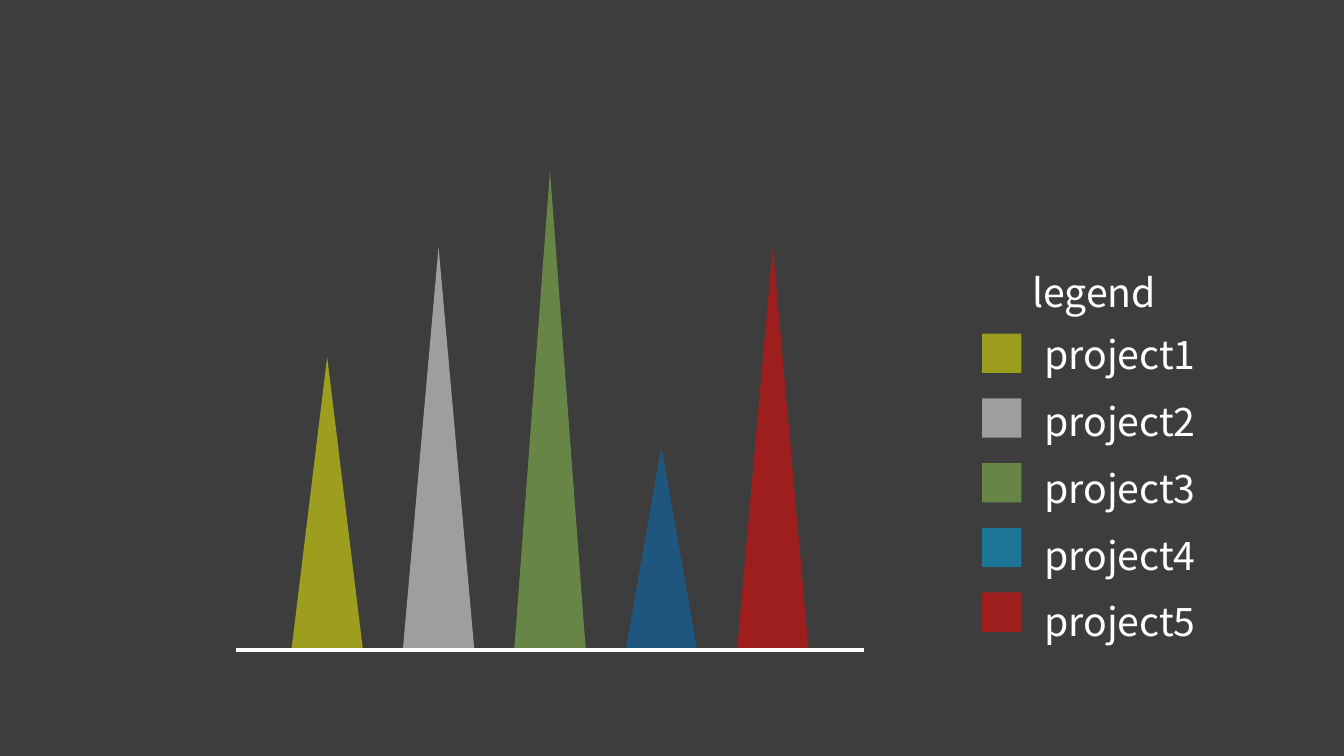
from lxml import etree
from pptx import Presentation
from pptx.dml.color import RGBColor
from pptx.enum.shapes import MSO_CONNECTOR, MSO_SHAPE
from pptx.enum.text import MSO_AUTO_SIZE
from pptx.oxml.ns import qn
from pptx.util import Inches, Pt

RECTANGLE = MSO_SHAPE.RECTANGLE
TRIANGLE = MSO_SHAPE.ISOSCELES_TRIANGLE
STRAIGHT = MSO_CONNECTOR.STRAIGHT
FIT_SHAPE = MSO_AUTO_SIZE.SHAPE_TO_FIT_TEXT

WHITE = "FFFFFF"
LABEL_FORMAT = {"name": "Noto Sans CJK SC", "size": Pt(28)}
PROJECTS = [
    ("project1", 2.91, "FFFF00", "FFFF00"),
    ("project2", 4.0, "FFFFFF", "FFFFFF"),
    ("project3", 4.76, "92D050", "92D050"),
    ("project4", 2.02, "0070C0", "00B0F0"),
    ("project5", 4.0, "FF0000", "FF0000"),
]


def color(value):
    return RGBColor.from_string(value)


def add_filled(shapes, kind, box, fill, opacity):
    shape = shapes.add_shape(kind, *map(Inches, box))
    shape.shadow.inherit = False
    shape.line.fill.background()
    shape.fill.solid()
    shape.fill.fore_color.rgb = color(fill)
    tint = shape.fill._xPr.find(qn("a:solidFill"))[0]
    etree.SubElement(tint, qn("a:alpha")).set("val", str(opacity * 1000))


def add_label(shapes, box, text):
    label = shapes.add_textbox(*map(Inches, box))
    frame = label.text_frame
    frame.word_wrap = True
    frame.auto_size = FIT_SHAPE
    span = frame.paragraphs[0].add_run()
    span.text = text
    for key, value in LABEL_FORMAT.items():
        setattr(span.font, key, value)
    span.font.color.rgb = color(WHITE)


def add_peaks(page, left, baseline, width):
    peak_width, pitch, margin = 0.71, 1.105, 0.55
    for index, (name, height, fill, key_fill) in enumerate(PROJECTS):
        box = (left + margin + index * pitch, baseline - height, peak_width, height)
        add_filled(page.shapes, TRIANGLE, box, fill, 50)
    ends = (left, baseline, left + width, baseline)
    axis = page.shapes.add_connector(STRAIGHT, *map(Inches, ends))
    axis.line.color.rgb = color(WHITE)
    axis.line.width = Pt(3)
    etree.SubElement(axis._element.spPr, qn("a:effectLst"))


def add_legend(page, left, top):
    shapes = page.shapes.add_group_shape().shapes
    add_label(shapes, (left + 0.4, top, 1.73, 0.57), "legend")
    for index, (name, height, fill, key_fill) in enumerate(PROJECTS):
        key_top = top + 0.7 + index * 0.642
        add_filled(shapes, RECTANGLE, (left, key_top, 0.39, 0.39), key_fill, 50)
        label_top = top + 0.62 + index * 0.6625
        add_label(shapes, (left + 0.52, label_top, 2.04, 0.57), name)


def main():
    deck = Presentation()
    deck.slide_width, deck.slide_height = Inches(13.33), Inches(7.5)
    page = deck.slides.add_slide(deck.slide_layouts[6])
    add_filled(page.shapes, RECTANGLE, (0, 0, 13.33, 7.5), "0D0D0D", 80)
    add_peaks(page, 2.34, 6.45, 6.23)
    add_legend(page, 9.74, 2.61)
    deck.save("out.pptx")


if __name__ == "__main__":
    main()
